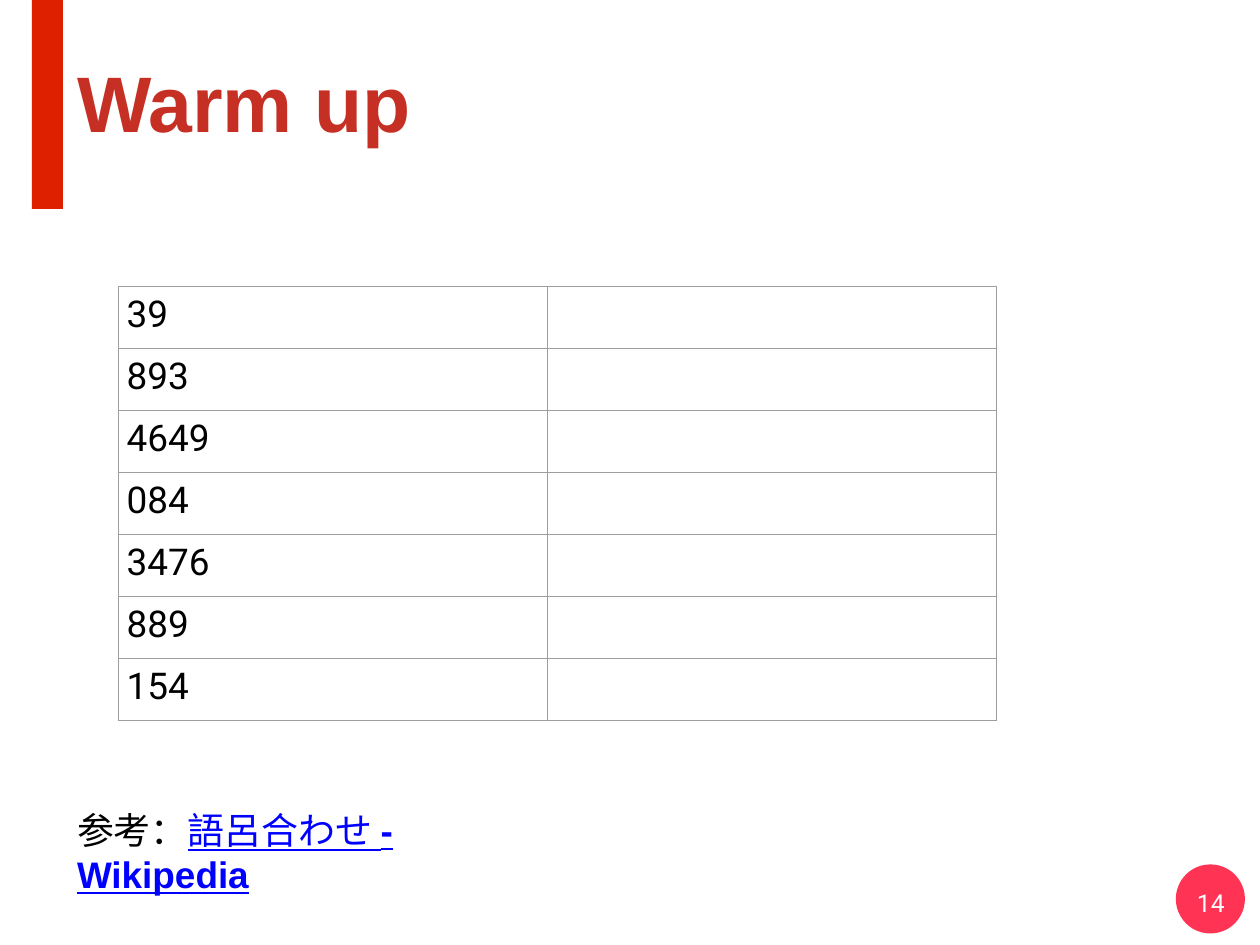
from dataclasses import dataclass

from lxml import etree
from pptx import Presentation
from pptx.dml.color import RGBColor
from pptx.enum.shapes import MSO_SHAPE
from pptx.enum.text import MSO_ANCHOR, MSO_AUTO_SIZE, PP_ALIGN
from pptx.oxml.ns import qn
from pptx.util import Inches, Pt

RECT, OVAL = MSO_SHAPE.RECTANGLE, MSO_SHAPE.OVAL
LEFT, CENTER = PP_ALIGN.LEFT, PP_ALIGN.CENTER
TOP, MIDDLE = MSO_ANCHOR.TOP, MSO_ANCHOR.MIDDLE
NO_FIT = MSO_AUTO_SIZE.NONE


@dataclass(frozen=True)
class Theme:
    bar: str = "DE1F00"
    title: str = "C63024"
    badge: str = "FF3455"
    ink: str = "000000"
    link: str = "0000FF"
    white: str = "FFFFFF"
    rule: str = "9E9E9E"
    head: str = "Arial"
    body: str = "Roboto"
    kanji: str = "Noto Sans CJK JP"
    big: int = 64
    mid: int = 30
    small: int = 20


THEME = Theme()


def add_text(para, text, font=THEME.body, size=THEME.mid, color=THEME.ink,
             bold=False, line=False):
    run = para.add_run()
    run.text = text
    face = run.font
    face.name, face.size = font, Pt(size)
    face.bold, face.underline = bold, line
    face.color.rgb = RGBColor.from_string(color)
    east = etree.SubElement(run._r.get_or_add_rPr(), qn("a:ea"))
    east.set("typeface", font)


def set_frame(frame, anchor=TOP, align=LEFT):
    frame.word_wrap = True
    frame.auto_size = NO_FIT
    frame.vertical_anchor = anchor
    frame.margin_left = frame.margin_top = Inches(0.01)
    frame.margin_right = frame.margin_bottom = 0
    para = frame.paragraphs[0]
    para.alignment = align
    return para


def add_block(slide, kind, box, color):
    block = slide.shapes.add_shape(kind, *map(Inches, box))
    block.shadow.inherit = False
    block.fill.solid()
    block.fill.fore_color.rgb = RGBColor.from_string(color)
    block.line.fill.background()
    return block


def add_header(slide, box):
    x, y, w, h = box
    add_block(slide, RECT, (x, y, 0.35, h), THEME.bar)
    title = slide.shapes.title
    title.left, title.top = Inches(x + 0.5), Inches(y + 0.6)
    title.width, title.height = Inches(w - 0.5), Inches(1.09)
    add_text(set_frame(title.text_frame), "Warm up", font=THEME.head,
             size=THEME.big, color=THEME.title, bold=True)


def set_edges(cell):
    props = cell._tc.get_or_add_tcPr()
    for spot, side in enumerate(("lnL", "lnR", "lnT", "lnB")):
        edge = etree.Element(qn("a:" + side), w=str(Pt(0.75)))
        fill = etree.SubElement(edge, qn("a:solidFill"))
        etree.SubElement(fill, qn("a:srgbClr"), val=THEME.rule)
        props.insert(spot, edge)


def add_grid(slide, box, words, widths):
    grid = slide.shapes.add_table(len(words), len(widths),
                                  *map(Inches, box)).table
    grid.first_row = grid.horz_banding = False
    for col, width in zip(grid.columns, widths):
        col.width = Inches(width)
    for row in grid.rows:
        row.height = Inches(box[3] / len(words))
    for cell in grid.iter_cells():
        cell.margin_left, cell.margin_top = Inches(0.09), Inches(0.08)
        cell.margin_right = cell.margin_bottom = 0
        cell.fill.background()
        set_edges(cell)
    for row, word in enumerate(words):
        add_text(grid.cell(row, 0).text_frame.paragraphs[0], word)


def add_source(slide, box):
    note = slide.shapes.add_textbox(*map(Inches, box))
    para = set_frame(note.text_frame)
    add_text(para, "参考：", font=THEME.kanji)
    add_text(para, "語呂合わせ ", font=THEME.kanji, color=THEME.link, line=True)
    add_text(para, "- Wikipedia", font=THEME.head, color=THEME.link,
             bold=True, line=True)


def add_badge(slide, box, number):
    badge = add_block(slide, OVAL, box, THEME.badge)
    para = set_frame(badge.text_frame, anchor=MIDDLE, align=CENTER)
    badge.text_frame.margin_top = Inches(0.08)
    add_text(para, number, size=THEME.small, color=THEME.white)


def main():
    deck = Presentation()
    deck.slide_width, deck.slide_height = Inches(14.22), Inches(10.67)
    slide = deck.slides.add_slide(deck.slide_layouts[5])

    # Title with red bar
    add_header(slide, (0.36, 0, 12, 2.36))
    # Number puns to fill in
    words = ("39", "893", "4649", "084", "3476", "889", "154")
    add_grid(slide, (1.34, 3.23, 9.91, 4.9), words, (4.84, 5.07))
    # Reference
    add_source(slide, (0.86, 9.11, 5.46, 1.06))
    # Page number
    add_badge(slide, (13.27, 9.76, 0.78, 0.78), "14")

    deck.save("out.pptx")


if __name__ == "__main__":
    main()
